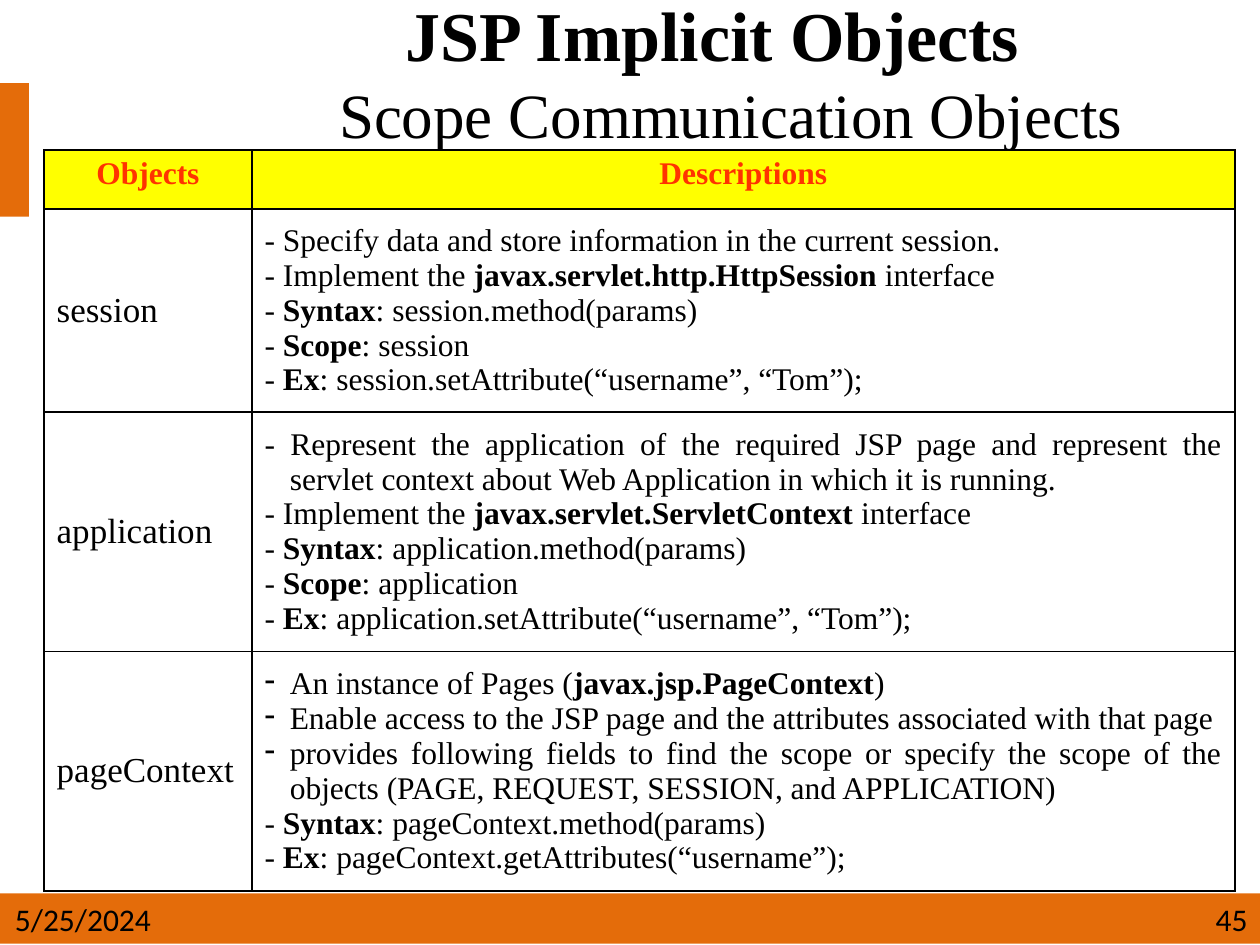
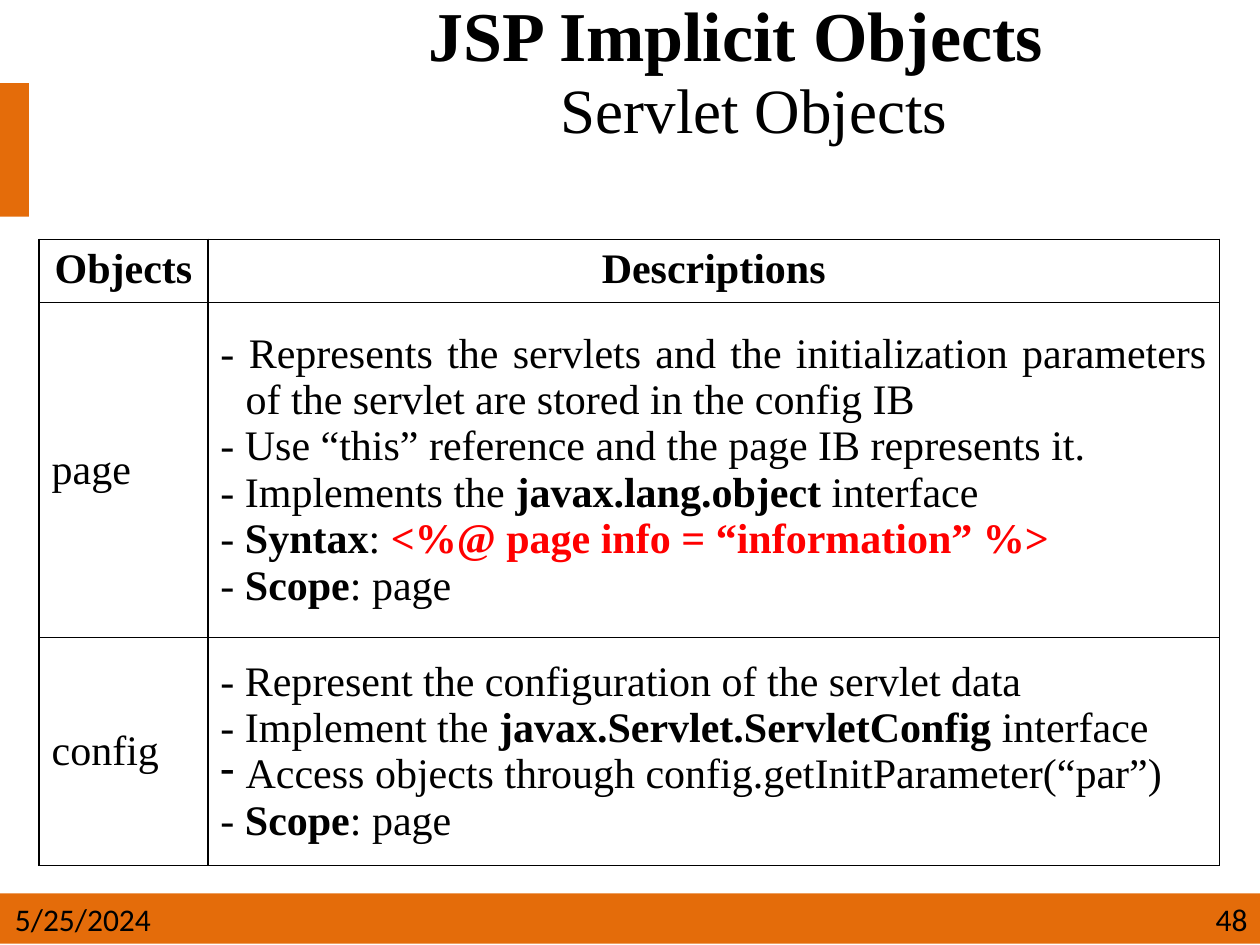
from copy import deepcopy
from lxml import etree
from pptx import Presentation
from pptx import util as u
from pptx.dml.color import RGBColor
from pptx.enum import shapes, text
from pptx.oxml import ns

ORANGE = RGBColor(0xE4, 0x6C, 0x0A)
BLACK = RGBColor(0, 0, 0)
WHITE = RGBColor(0xFF, 0xFF, 0xFF)
YELLOW = RGBColor(0xFF, 0xFF, 0)
ORANGE_RED = RGBColor(0xFF, 0x33, 0)
RED = RGBColor(0xFF, 0, 0)
SERIF = "Times New Roman"
ALIGN = text.PP_ALIGN
BULLET = "• "
HEADERS = ["Objects", "Descriptions"]

SLIDES = [
    dict(
        subtitle="Scope Communication Objects", number="45",
        title_box=(1.45, 0, 8.55, 1.26), title_spacing=0.85,
        table_box=(0.35, 1.19, 9.45, 5.89),
        columns=(1.65, 7.8), heights=(0.47, 1.61, 1.9, 1.9),
        header_fill=YELLOW, header_color=ORANGE_RED,
        label_size=20, text_size=18, label_align=ALIGN.JUSTIFY,
        objects={
            "session": [
                "- Specify data and store information in the current session.",
                "- Implement the **javax.servlet.http.HttpSession** interface",
                "- **Syntax**: session.method(params)",
                "- **Scope**: session",
                "- **Ex**: session.setAttribute(“username”, “Tom”);",
            ],
            "application": [
                "- Represent the application of the required JSP page and represent "
                "the servlet context about Web Application in which it is running.",
                "- Implement the **javax.servlet.ServletContext** interface",
                "- **Syntax**: application.method(params)",
                "- **Scope**: application",
                "- **Ex**: application.setAttribute(“username”, “Tom”);",
            ],
            "pageContext": [
                "• An instance of Pages (**javax.jsp.PageContext**)",
                "• Enable access to the JSP page and the attributes associated with that page",
                "• provides following fields to find the scope or specify the scope "
                "of the objects (PAGE, REQUEST, SESSION, and APPLICATION)",
                "- **Syntax**: pageContext.method(params)",
                "- **Ex**: pageContext.getAttributes(“username”);",
            ],
        },
    ),
    dict(
        subtitle="Servlet Objects", number="48",
        title_box=(1.82, 0, 8.18, 1.24), title_spacing=0.8,
        table_box=(0.31, 1.9, 9.37, 4.96),
        columns=(1.34, 8.03), heights=(0.5, 2.66, 1.81),
        header_fill=WHITE, header_color=BLACK,
        label_size=24, text_size=24, label_align=ALIGN.LEFT,
        objects={
            "page": [
                "- Represents the servlets and the initialization parameters "
                "of the servlet are stored in the config IB",
                "- Use “this” reference and the page IB represents it.",
                "- Implements the **javax.lang.object** interface",
                "- **Syntax**: **<%@ page info = “information” %>**",
                "- **Scope**: page",
            ],
            "config": [
                "- Represent the configuration of the servlet data",
                "- Implement the **javax.Servlet.ServletConfig** interface",
                "• Access objects through config.getInitParameter(“par”)",
                "- **Scope**: page",
            ],
        },
    ),
]


def add_run(paragraph, words, size, bold=False, color=BLACK, font=SERIF):
    run = paragraph.add_run()
    run.text = words
    run.font.name = font
    run.font.size = u.Pt(size)
    run.font.bold = bold
    run.font.color.rgb = color
    return run


def fill_cell(cell, lines, size, align, indent, bold=False, color=BLACK, fill=WHITE):
    properties = cell._tc.get_or_add_tcPr()
    for side in ("lnL", "lnR", "lnT", "lnB"):
        border = etree.SubElement(properties, ns.qn(f"a:{side}"), w=str(u.Pt(1)))
        solid = etree.SubElement(border, ns.qn("a:solidFill"))
        etree.SubElement(solid, ns.qn("a:srgbClr"), val=str(BLACK))
    cell.fill.solid()
    cell.fill.fore_color.rgb = fill
    for index, line in enumerate(lines):
        frame = cell.text_frame
        paragraph = frame.add_paragraph() if index else frame.paragraphs[0]
        paragraph.alignment = align
        layout_properties = paragraph._p.get_or_add_pPr()
        layout_properties.set("marL", str(u.Inches(indent)))
        layout_properties.set("indent", str(-u.Inches(indent)))
        if line.startswith(BULLET):
            etree.SubElement(layout_properties, ns.qn("a:buChar"), char="-")
        for part, words in enumerate(line.removeprefix(BULLET).split("**")):
            if words:
                run_color = RED if words.startswith("<%@") else color
                add_run(paragraph, words, size, bold or part % 2 == 1, run_color)


presentation = Presentation()
presentation.slide_width = u.Inches(10)
presentation.slide_height = u.Inches(7.5)
layout = presentation.slide_layouts[5]
slides = [presentation.slides.add_slide(layout) for content in SLIDES]

for index, box in enumerate([(0, 7.09, 10, 0.4), (0, 0.66, 0.23, 1.06)]):
    band = slides[0].shapes.add_shape(shapes.MSO_SHAPE.RECTANGLE, *map(u.Inches, box))
    band.shadow.inherit = False
    band.fill.solid()
    band.fill.fore_color.rgb = ORANGE
    band.line.fill.background()
    band._element.nvSpPr.cNvPr.set("id", str(101 + index))
    layout.shapes._spTree.append(band._element)

for slide, content in zip(slides, SLIDES):
    title = slide.shapes.title
    title.left, title.top, title.width, title.height = map(u.Inches, content["title_box"])
    title.text_frame.auto_size = text.MSO_AUTO_SIZE.NONE
    title.text_frame.vertical_anchor = text.MSO_ANCHOR.MIDDLE
    paragraph = title.text_frame.paragraphs[0]
    paragraph.alignment = ALIGN.CENTER
    paragraph.line_spacing = content["title_spacing"]
    heading = add_run(paragraph, "JSP Implicit Objects ", 40, True)
    paragraph.add_line_break()
    paragraph._p[-1].append(deepcopy(heading._r.rPr))
    add_run(paragraph, " ", 44, True)
    add_run(paragraph, content["subtitle"], 36)

    objects = content["objects"]
    table = slide.shapes.add_table(
        len(objects) + 1, len(HEADERS), *map(u.Inches, content["table_box"])).table
    table.first_row = table.horz_banding = False
    for column, width in zip(table.columns, content["columns"]):
        column.width = u.Inches(width)
    for row, height in zip(table.rows, content["heights"]):
        row.height = u.Inches(height)
    for column, header in enumerate(HEADERS):
        fill_cell(table.cell(0, column), [header], content["text_size"], ALIGN.CENTER,
                  0.38, True, content["header_color"], content["header_fill"])
    for row, (label, description) in enumerate(objects.items(), 1):
        label_cell, description_cell = table.cell(row, 0), table.cell(row, 1)
        fill_cell(label_cell, [label], content["label_size"], content["label_align"], 0.38)
        fill_cell(description_cell, description, content["text_size"], ALIGN.JUSTIFY, 0.2)
        label_cell.vertical_anchor = text.MSO_ANCHOR.MIDDLE
        description_cell.vertical_anchor = text.MSO_ANCHOR.MIDDLE

    for words, left, width, align in [
        ("5/25/2024", 0.02, 1.52, ALIGN.LEFT),
        (content["number"], 7, 3, ALIGN.RIGHT),
    ]:
        footer = slide.shapes.add_textbox(*map(u.Inches, (left, 7.09, width, 0.4)))
        footer.text_frame.word_wrap = True
        paragraph = footer.text_frame.paragraphs[0]
        paragraph.alignment = align
        add_run(paragraph, words, 18, font="Calibri")

presentation.save("out.pptx")
